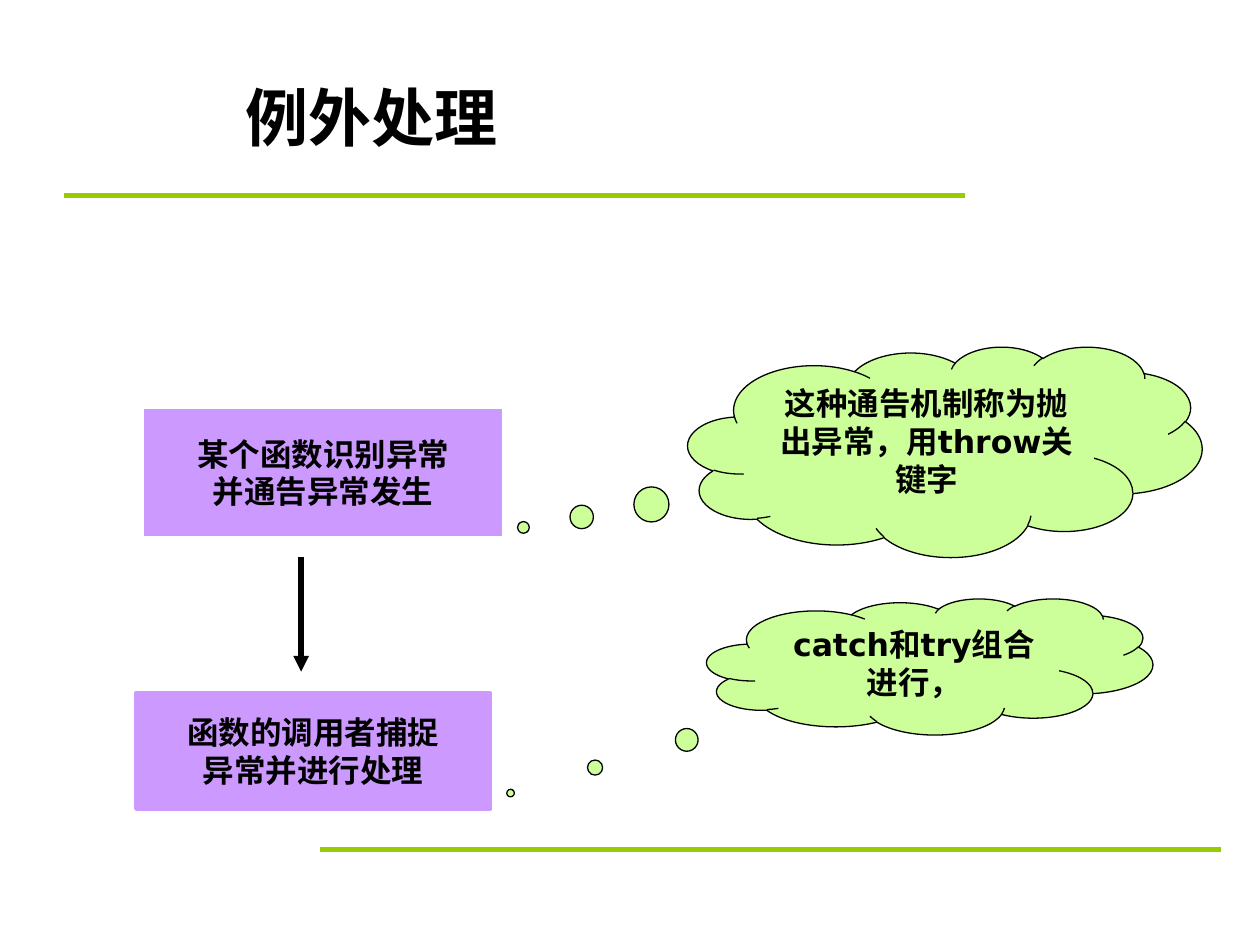
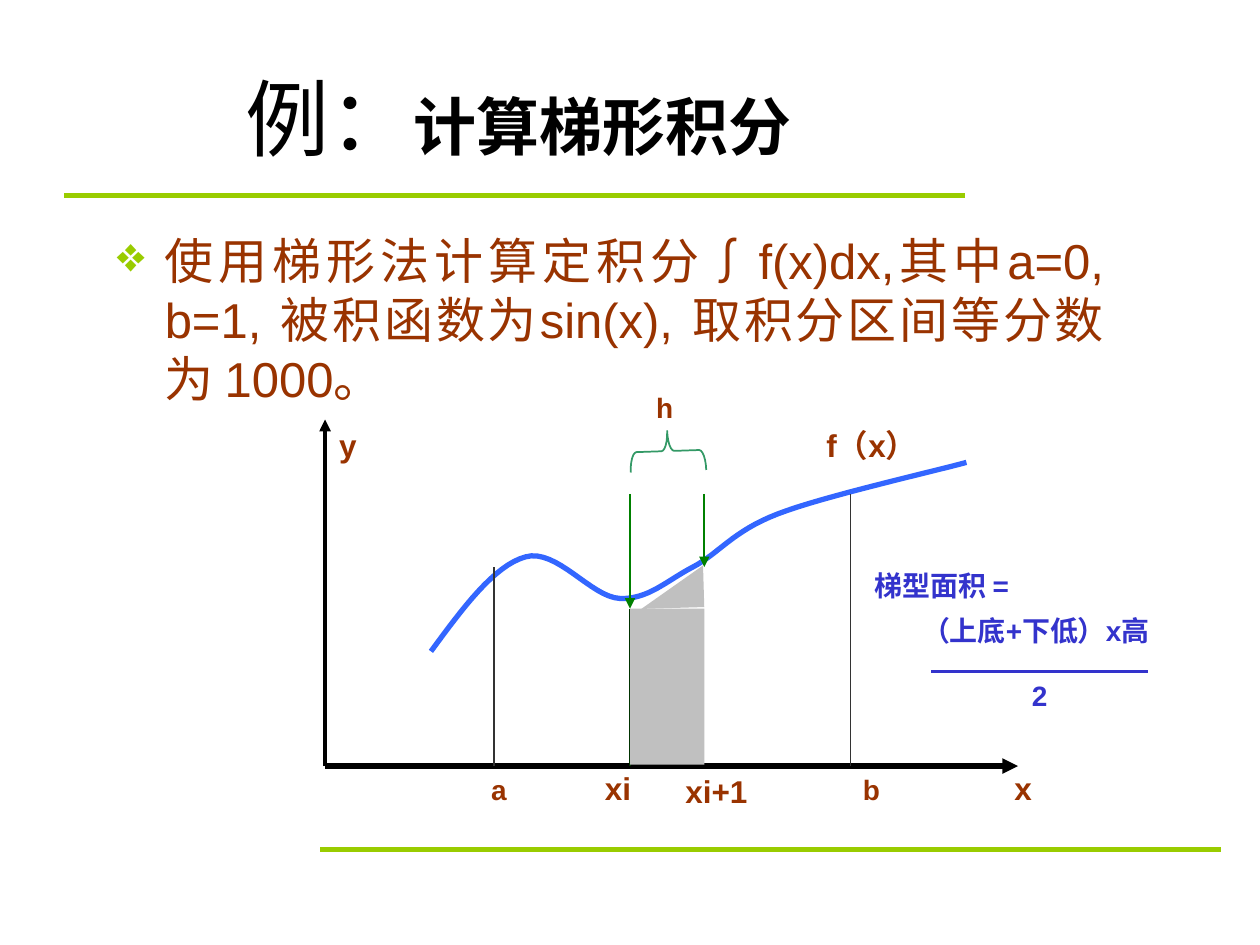
from lxml import etree
from pptx import Presentation
from pptx.dml.color import RGBColor
from pptx.enum.shapes import MSO_CONNECTOR, MSO_SHAPE as SHAPE
from pptx.enum.text import MSO_ANCHOR as ANCHOR, PP_ALIGN as ALIGN
from pptx.oxml.ns import qn
from pptx.util import Inches, Pt

LIME = RGBColor(0x99, 0xCC, 0x00)
PURPLE = RGBColor(0xCC, 0x99, 0xFF)
PALE_GREEN = RGBColor(0xCC, 0xFF, 0x99)
BLACK = RGBColor(0, 0, 0)
BROWN = RGBColor(0x99, 0x33, 0x00)
BLUE = RGBColor(0x33, 0x66, 0xFF)
INDIGO = RGBColor(0x33, 0x33, 0xCC)
DARK_GREY = RGBColor(0x33, 0x33, 0x33)
DARK_GREEN = RGBColor(0x00, 0x33, 0x00)
GREEN = RGBColor(0x00, 0x80, 0x00)
SEA_GREEN = RGBColor(0x33, 0x99, 0x66)
SILVER = RGBColor(0xC0, 0xC0, 0xC0)
CJK = "Noto Sans CJK SC"


def add_line(s, x1, y1, x2, y2, color, width, arrow=False):
    cx = s.shapes.add_connector(MSO_CONNECTOR.STRAIGHT, Inches(x1), Inches(y1), Inches(x2), Inches(y2))
    cx.line.color.rgb = color
    cx.line.width = Pt(width)
    if arrow:
        etree.SubElement(cx.line._get_or_add_ln(), qn("a:tailEnd"), type="triangle")
    etree.SubElement(cx._element.spPr, qn("a:effectLst"))


def write(sp, paragraphs, color, align=ALIGN.CENTER, anchor=ANCHOR.MIDDLE, wrap=False):
    tf = sp.text_frame
    tf.word_wrap = wrap
    tf.vertical_anchor = anchor
    for i, runs in enumerate(paragraphs):
        p = tf.add_paragraph() if i else tf.paragraphs[0]
        p.alignment = align
        for text, size, font, bold in runs:
            r = p.add_run()
            r.text = text
            for name, value in {"size": Pt(size), "name": font, "bold": bold}.items():
                setattr(r.font, name, value)
            r.font.color.rgb = color
            etree.SubElement(r._r.get_or_add_rPr(), qn("a:ea"), typeface=CJK)


prs = Presentation()
prs.slide_width, prs.slide_height = Inches(10), Inches(7.5)

titles = [
    [("例外处理", 36, "Arial", True)],
    [("例：", 48, CJK, False), ("计算梯形积分", 36, CJK, True)],
]
slides = []
for title in titles:
    s = prs.slides.add_slide(prs.slide_layouts[6])
    for x, y in [(0.51, 1.55), (2.54, 6.74)]:
        add_line(s, x, y, x + 7.15, y, LIME, 3)
    box = s.shapes.add_textbox(Inches(1.85), Inches(0.3), Inches(7.65), Inches(1.25))
    write(box, [title], BLACK, ALIGN.LEFT, wrap=True)
    slides.append(s)
flow, integral = slides

steps = [
    (SHAPE.RECTANGLE, 1.15, 3.25, 2.83, 1, PURPLE, PURPLE, 0.75, [], ["某个函数识别异常", "并通告异常发生"]),
    (SHAPE.RECTANGLE, 1.08, 5.5, 2.81, 0.92, PURPLE, PURPLE, 2.25, [], ["函数的调用者捕捉", "异常并进行处理"]),
    (SHAPE.CLOUD_CALLOUT, 5.46, 2.75, 4.08, 1.67, PALE_GREEN, BLACK, 0.75, [-0.82, 0.36],
     ["这种通告机制称为抛出异常，用throw关键字"]),
    (SHAPE.CLOUD_CALLOUT, 5.61, 4.75, 3.54, 1.08, PALE_GREEN, BLACK, 0.75, [-0.94, 0.93],
     ["catch和try组合进行，"]),
]
for kind, x, y, w, h, fill, edge, width, adjustments, lines in steps:
    sp = flow.shapes.add_shape(kind, Inches(x), Inches(y), Inches(w), Inches(h))
    sp.shadow.inherit = False
    sp.fill.solid()
    sp.fill.fore_color.rgb = fill
    sp.line.color.rgb = edge
    sp.line.width = Pt(width)
    for i, value in enumerate(adjustments):
        sp.adjustments[i] = value
    is_cloud = kind == SHAPE.CLOUD_CALLOUT
    write(sp, [[(text, 18, "DejaVu Sans", True)] for text in lines], BLACK,
          anchor=ANCHOR.TOP if is_cloud else ANCHOR.MIDDLE, wrap=is_cloud)
add_line(flow, 2.39, 4.42, 2.39, 5.33, BLACK, 3, True)

s = integral
task = s.shapes.add_textbox(Inches(0.83), Inches(1.78), Inches(8.03), Inches(4.99))
pPr = task.text_frame.paragraphs[0]._p.get_or_add_pPr()
pPr.set("marL", str(Inches(0.38)))
pPr.set("indent", str(-Inches(0.38)))
etree.SubElement(etree.SubElement(pPr, qn("a:buClr")), qn("a:srgbClr"), val=str(LIME))
etree.SubElement(pPr, qn("a:buSzPct"), val="100000")
etree.SubElement(pPr, qn("a:buChar"), char="❖")
problem = "使用梯形法计算定积分∫f(x)dx,其中a=0, b=1, 被积函数为sin(x), 取积分区间等分数为 1000。"
write(task, [[(problem, 28, "Arial", False)]], BROWN, ALIGN.JUSTIFY, ANCHOR.TOP, True)

add_line(s, 2.58, 6.08, 2.58, 3.33, BLACK, 2.25, True)
add_line(s, 2.58, 6.08, 8.08, 6.08, BLACK, 3, True)

knots = [
    (3.42, 5.17), (3.67, 4.83), (3.92, 4.49), (4.17, 4.42), (4.42, 4.35), (4.69, 4.74),
    (4.92, 4.75), (5.14, 4.76), (5.29, 4.61), (5.5, 4.5), (5.71, 4.39), (5.81, 4.22),
    (6.17, 4.08), (6.53, 3.94), (7.42, 3.74), (7.67, 3.67),
]
STEPS = 16
points = []
for k in range(0, len(knots) - 1, 3):
    for t in [n / STEPS for n in range(1, STEPS + 1)]:
        weights = ((1 - t) ** 3, 3 * t * (1 - t) ** 2, 3 * t * t * (1 - t), t ** 3)
        points.append([Inches(sum(w * v for w, v in zip(weights, axis))) for axis in zip(*knots[k:k + 4])])
builder = s.shapes.build_freeform(Inches(knots[0][0]), Inches(knots[0][1]))
builder.add_line_segments(points, close=False)
curve = builder.convert_to_shape()
curve.shadow.inherit = False
curve.fill.background()
curve.line.color.rgb = BLUE
curve.line.width = Pt(3)

for x, top, color in [(3.92, 4.5, DARK_GREY), (6.75, 3.92, DARK_GREY), (5, 4.83, DARK_GREEN)]:
    add_line(s, x, top, x, 6.08, color, 1)

for kind, x, y, w, h, rotation in [
    (SHAPE.RECTANGLE, 5, 4.83, 0.59, 1.24, 0),
    (SHAPE.RIGHT_TRIANGLE, 5.17, 4.41, 0.33, 0.5, 268.3),
]:
    area = s.shapes.add_shape(kind, Inches(x), Inches(y), Inches(w), Inches(h))
    area.rotation = rotation
    area.shadow.inherit = False
    area.fill.solid()
    area.fill.fore_color.rgb = SILVER
    area.line.fill.background()

for x, bottom in [(5, 4.83), (5.59, 4.5)]:
    add_line(s, x, 3.92, x, bottom, GREEN, 1, True)

brace = s.shapes.add_shape(SHAPE.LEFT_BRACE, Inches(5.14), Inches(3.28), Inches(0.32), Inches(0.6))
brace.rotation = 88.1
brace.adjustments[0] = 0.16
brace.shadow.inherit = False
brace.fill.background()
brace.line.color.rgb = SEA_GREEN
brace.line.width = Pt(1)

labels = [
    ("a", 3.8, 6.08, 0.32, 16, BROWN),
    ("b", 6.75, 6.08, 0.33, 16, BROWN),
    ("h", 5.11, 3.05, 0.33, 16, BROWN),
    ("x", 7.95, 6.05, 0.34, 18, BROWN),
    ("y", 2.59, 3.33, 0.34, 18, BROWN),
    ("f（x）", 6.37, 3.33, 1.1, 18, BROWN),
    ("xi", 4.7, 6.05, 0.41, 18, BROWN),
    ("xi+1", 5.34, 6.08, 0.69, 18, BROWN),
    ("梯型面积 =", 6.46, 4.46, 2.03, 16, INDIGO),
    ("（上底+下低）x高", 6.92, 4.82, 2.6, 16, INDIGO),
    ("2", 8.09, 5.33, 0.32, 16, INDIGO),
]
for text, x, y, w, size, color in labels:
    label = s.shapes.add_textbox(Inches(x), Inches(y), Inches(w), Inches(0.37 if size == 16 else 0.4))
    write(label, [[(text, size, "Arial", True)]], color)
add_line(s, 7.39, 5.33, 9.11, 5.33, INDIGO, 1.5)

prs.save("out.pptx")
